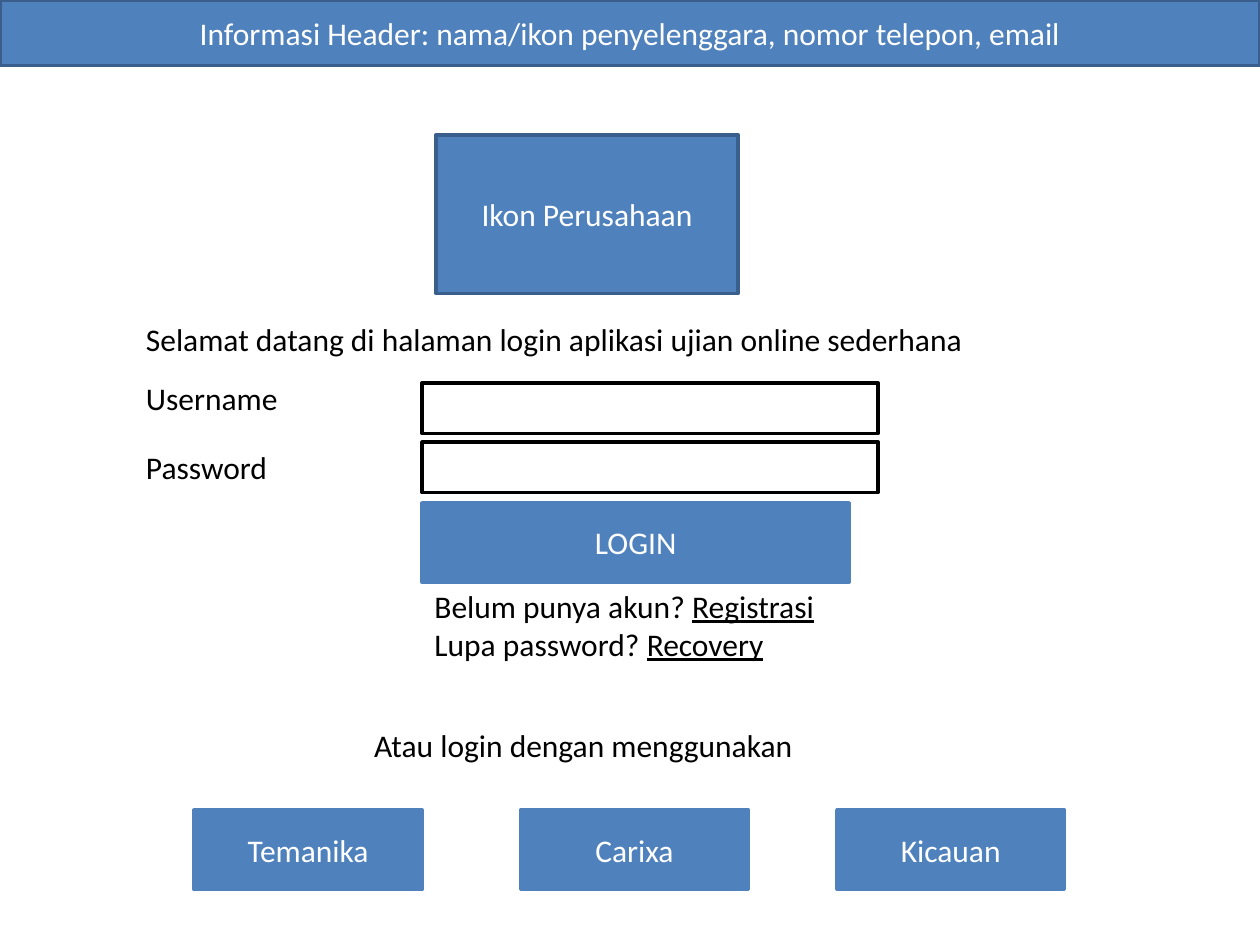
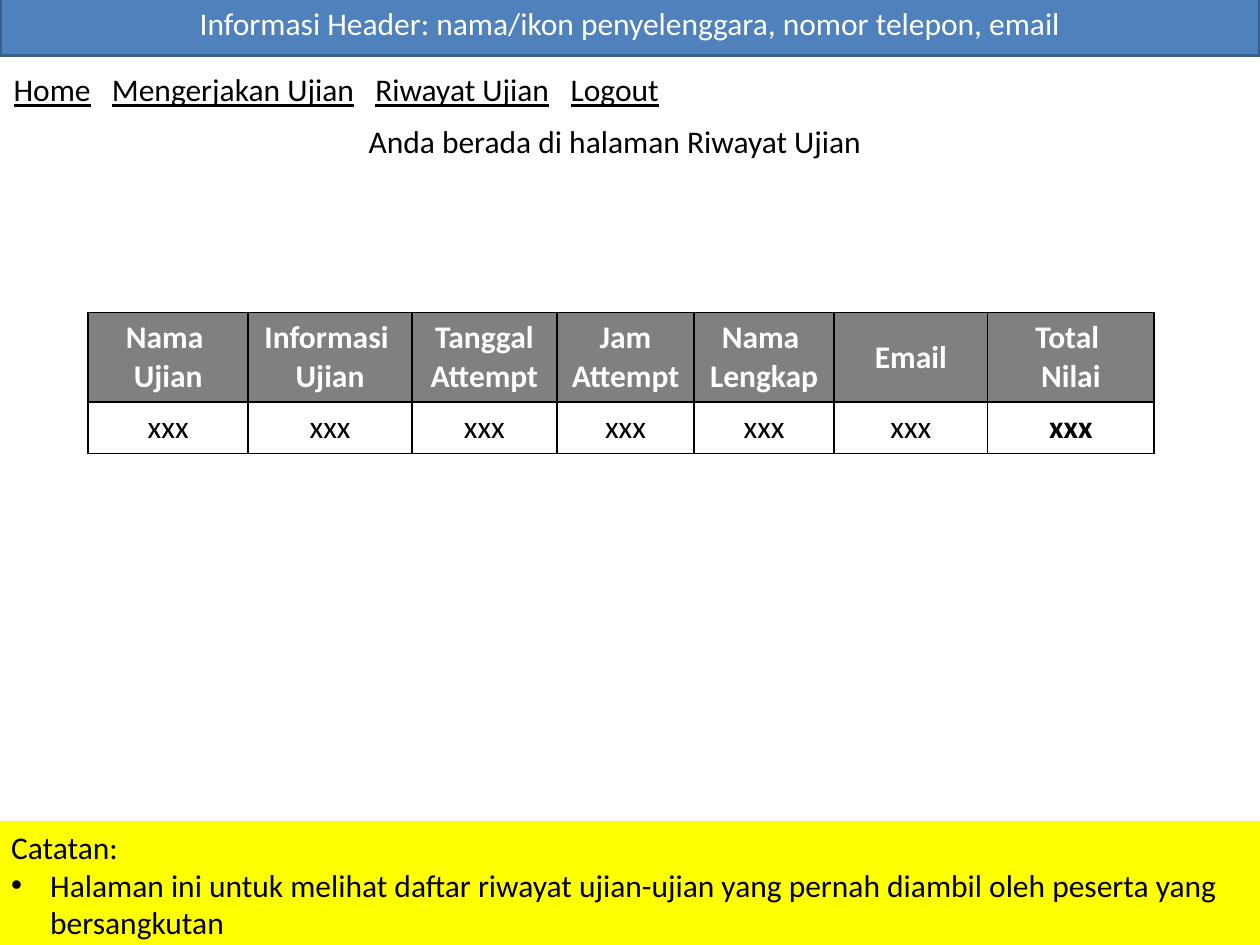
import pptx
import pptx.util
import pptx.dml.color
import pptx.enum.shapes
import pptx.enum.text
import pptx.oxml
import pptx.oxml.ns
import lxml.etree

Inches, Pt = pptx.util.Inches, pptx.util.Pt
rgb = pptx.dml.color.RGBColor.from_string
qn = pptx.oxml.ns.qn
CENTER = pptx.enum.text.PP_ALIGN.CENTER
LEFT = pptx.enum.text.PP_ALIGN.LEFT
MIDDLE = pptx.enum.text.MSO_ANCHOR.MIDDLE
TOP = pptx.enum.text.MSO_ANCHOR.TOP
RECT = pptx.enum.shapes.MSO_SHAPE.RECTANGLE

BLUE, NAVY, GRAY, YELLOW = "4F81BD", "3A5F8C", "808080", "FFFF00"
BLACK, WHITE = "000000", "FFFFFF"
HEADER = "Informasi Header: nama/ikon penyelenggara, nomor telepon, email"


def write(tf, text, color=BLACK, align=LEFT, anchor=TOP, bold=False):
    """Fill a text frame; one line per paragraph, _..._ marks underlined text."""
    tf.word_wrap = True
    tf.auto_size = pptx.enum.text.MSO_AUTO_SIZE.NONE
    tf.vertical_anchor = anchor
    for i, line in enumerate(text.split("\n")):
        p = tf.paragraphs[0] if i == 0 else tf.add_paragraph()
        p.alignment = align
        for j, part in enumerate(line.split("_")):
            if part:
                r = p.add_run()
                r.text = part
                r.font.name, r.font.size = "Calibri", Pt(18)
                r.font.bold, r.font.underline = bold, j % 2 == 1
                r.font.color.rgb = rgb(color)


def box(s, x, y, w, h, text="", fill=None, line=None, width=2, **style):
    """Add a text box, or a filled rectangle when a fill is given."""
    at = [Inches(v) for v in (x, y, w, h)]
    if fill:
        sp = s.shapes.add_shape(RECT, *at)
        sp.shadow.inherit = False
        sp.fill.solid()
        sp.fill.fore_color.rgb = rgb(fill)
        sp.line.color.rgb = rgb(line or fill)
        sp.line.width = Pt(width)
    else:
        sp = s.shapes.add_textbox(*at)
    if text:
        write(sp.text_frame, text, **style)
    return sp


prs = pptx.Presentation()
prs.slide_width, prs.slide_height = Inches(10), Inches(7.5)
label = dict(color=WHITE, align=CENTER, anchor=MIDDLE)

# Both slides: the title is the header band
slides = []
for top in (0, -0.08):
    s = prs.slides.add_slide(prs.slide_layouts[5])
    sp = s.shapes.title
    sp.left, sp.top, sp.width, sp.height = Inches(0), Inches(top), Inches(10), Inches(0.52)
    sp.fill.solid()
    sp.fill.fore_color.rgb = rgb(BLUE)
    sp.line.color.rgb = rgb(NAVY)
    sp.line.width = Pt(2)
    write(sp.text_frame, HEADER, **label)
    slides.append(s)
login, history = slides

# Slide 1: company icon and welcome
box(login, 3.46, 1.07, 2.4, 1.26, "Ikon Perusahaan", fill=BLUE, line=NAVY, **label)
box(login, 1.06, 2.49, 7.01, 0.4,
    "Selamat datang di halaman login aplikasi ujian online sederhana")

# Login form
for text, label_y, field_y in (("Username", 2.96, 3.04), ("Password", 3.51, 3.51)):
    box(login, 1.06, label_y, 2.28, 0.4, text)
    box(login, 3.35, field_y, 3.62, 0.4, fill=WHITE, line=BLACK)
box(login, 3.35, 3.99, 3.39, 0.63, "LOGIN", fill=BLUE, **label)
box(login, 3.35, 4.61, 4.33, 0.71,
    "Belum punya akun? _Registrasi_\nLupa password? _Recovery_")

# Other ways to log in
box(login, 2.87, 5.71, 3.78, 0.4, "Atau login dengan menggunakan")
for x, text in ((1.54, "Temanika"), (4.13, "Carixa"), (6.64, "Kicauan")):
    box(login, x, 6.43, 1.81, 0.63, text, fill=BLUE, **label)

# Slide 2: menu, spaced with tab stops
sp = box(history, 0.01, 0.51, 7.48, 0.4,
         "_Home_\t_Mengerjakan Ujian_\t_Riwayat Ujian_\t_Logout_")
pPr = sp.text_frame.paragraphs[0]._p.get_or_add_pPr()
tabs = lxml.etree.SubElement(pPr, qn("a:tabLst"))
for pos in (0.78, 2.87, 4.42):
    lxml.etree.SubElement(tabs, qn("a:tab"), pos=str(Inches(pos)), algn="l")
box(history, 0.59, 0.92, 8.58, 0.4, "Anda berada di halaman Riwayat Ujian", align=CENTER)

# Exam history table
heads = ["Nama \nUjian", "Informasi \nUjian", "Tanggal Attempt", "Jam\nAttempt",
         "Nama \nLengkap", "Email", "Total \nNilai"]
widths = [1.27, 1.3, 1.15, 1.09, 1.11, 1.22, 1.32]
rows = [heads, ["xxx"] * len(heads)]
table = history.shapes.add_table(len(rows), len(heads), Inches(0.7), Inches(2.48),
                                 Inches(sum(widths)), Inches(1.11)).table
for col, w in zip(table.columns, widths):
    col.width = Inches(w)
for row, h in zip(table.rows, (0.7, 0.41)):
    row.height = Inches(h)
for i, row in enumerate(rows):
    for j, text in enumerate(row):
        cell = table.cell(i, j)
        tcPr = cell._tc.get_or_add_tcPr()
        for side in ("a:lnL", "a:lnR", "a:lnT", "a:lnB"):
            ln = lxml.etree.SubElement(tcPr, qn(side), w=str(Pt(1)))
            solid = lxml.etree.SubElement(ln, qn("a:solidFill"))
            lxml.etree.SubElement(solid, qn("a:srgbClr"), val=BLACK)
        cell.fill.solid()
        cell.fill.fore_color.rgb = rgb(GRAY if i == 0 else WHITE)
        write(cell.text_frame, text, color=WHITE if i == 0 else BLACK,
              align=CENTER, bold=i == 0 or j == len(heads) - 1)
        cell.vertical_anchor = MIDDLE

# Note with one bullet
sp = box(history, -0.01, 6.52, 10.01, 1.01,
         "Catatan:\nHalaman ini untuk melihat daftar riwayat ujian-ujian yang pernah "
         "diambil oleh peserta yang bersangkutan", fill=YELLOW, width=0.75)
pPr = sp.text_frame.paragraphs[1]._p.get_or_add_pPr()
pPr.set("marL", str(Inches(0.31)))
pPr.set("indent", str(Inches(-0.31)))
lxml.etree.SubElement(pPr, qn("a:buFont"), typeface="Arial")
lxml.etree.SubElement(pPr, qn("a:buChar"), char="•")

prs.save("out.pptx")
